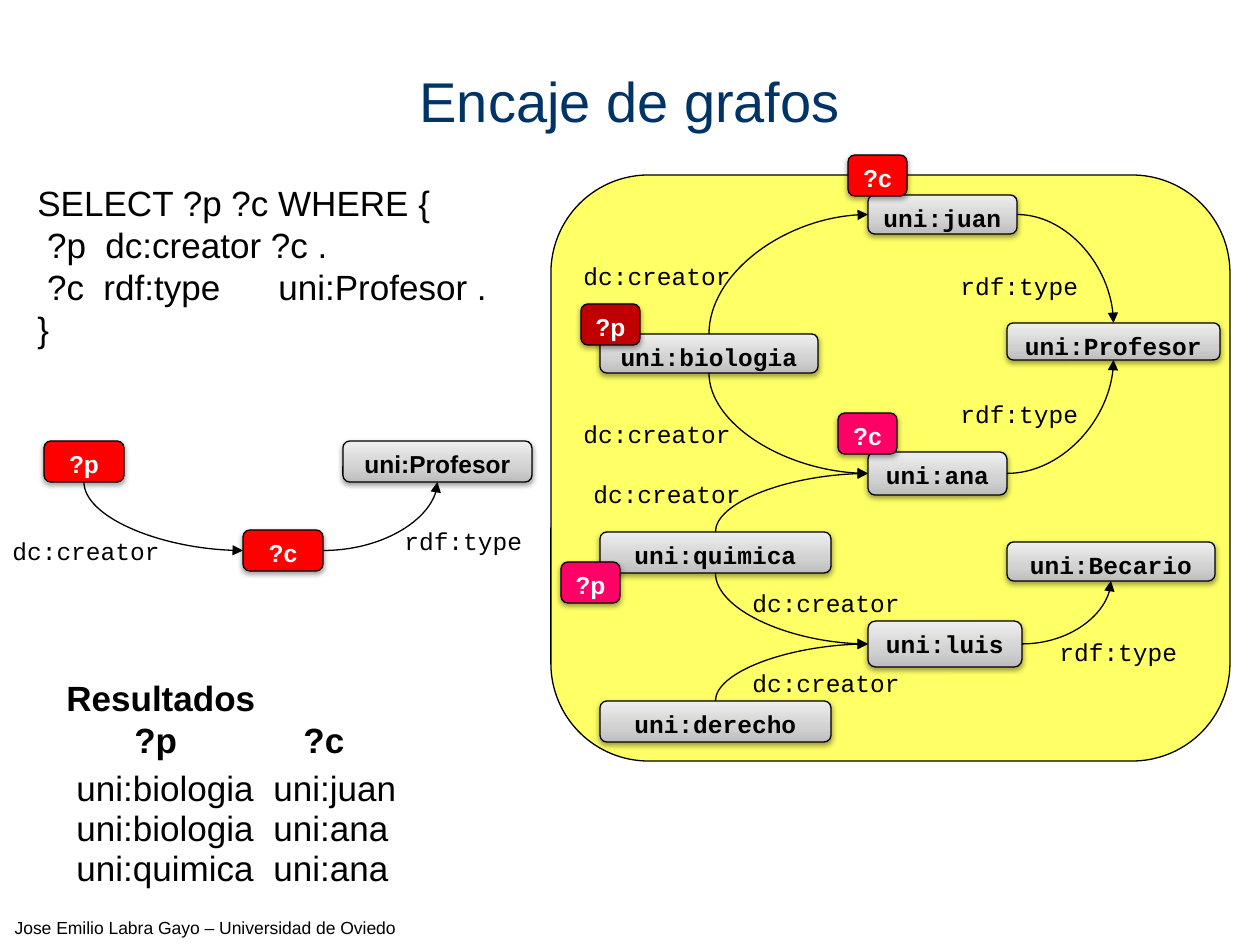
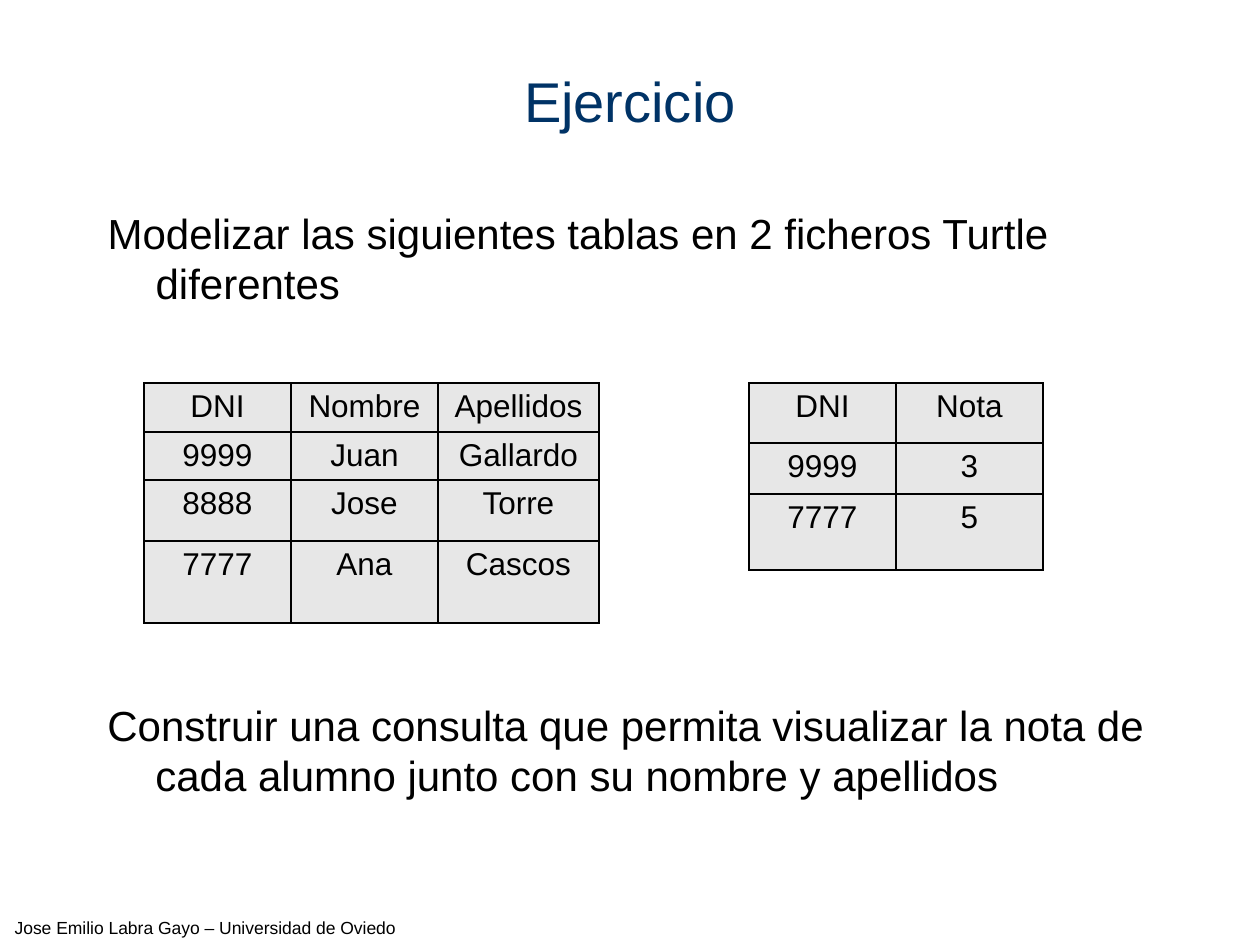
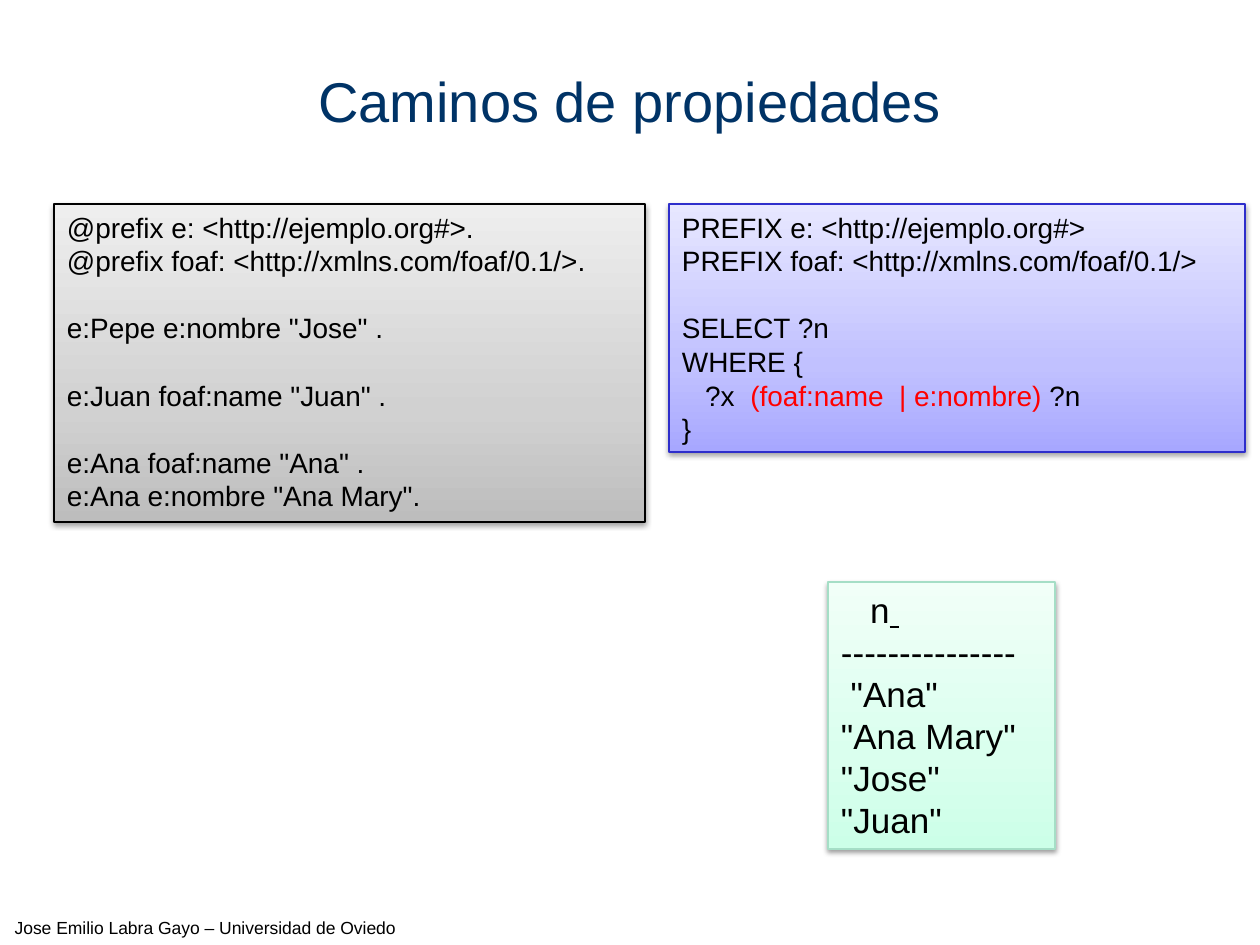
import copy

import lxml.etree
import pptx
import pptx.dml.color
import pptx.enum.shapes
import pptx.enum.text
import pptx.oxml.ns
import pptx.util

RGBColor = pptx.dml.color.RGBColor
ShapeType = pptx.enum.shapes.MSO_SHAPE
Align = pptx.enum.text.PP_ALIGN
qn = pptx.oxml.ns.qn

EMU_PER_PX = 914400 / 126
SLIDE_WIDTH, SLIDE_HEIGHT = 1260, 945
SANS, MONO = "Arial", "Courier New"
TITLE_ONLY, TITLE_AND_BODY = 5, 1
TOP, LEFT, BOTTOM, RIGHT = range(4)

BLACK = RGBColor(0x00, 0x00, 0x00)
WHITE = RGBColor(0xFF, 0xFF, 0xFF)
NAVY = RGBColor(0x00, 0x33, 0x66)
RED = RGBColor(0xFF, 0x00, 0x00)
DARK_RED = RGBColor(0xC0, 0x00, 0x00)
PINK = RGBColor(0xFF, 0x00, 0x66)
YELLOW = RGBColor(0xFF, 0xFF, 0x66)
CELL_GRAY = RGBColor(0xE7, 0xE7, 0xE7)
BLUE_LINE = RGBColor(0x2E, 0x2E, 0xCB)
GREEN_LINE = RGBColor(0xA5, 0xDE, 0xC6)
GRAY_FADE = (RGBColor(0xBD, 0xBD, 0xBD), RGBColor(0xD1, 0xD1, 0xD1), RGBColor(0xEE, 0xEE, 0xEE))
BLUE_FADE = (RGBColor(0xA7, 0xA7, 0xFF), RGBColor(0xC1, 0xC1, 0xFF), RGBColor(0xE7, 0xE7, 0xFF))
GREEN_FADE = (RGBColor(0xCC, 0xFF, 0xE8), RGBColor(0xDA, 0xFF, 0xEE), RGBColor(0xF1, 0xFF, 0xF8))
FADE_POSITIONS = (0, 0.35, 1)


def px(length):
    """Turn px into EMU."""
    return pptx.util.Emu(round(length * EMU_PER_PX))


def box_px(*lengths):
    """Turn a box given in px into EMU."""
    return [px(length) for length in lengths]


def add_element(parent, tag, **attributes):
    """Append an XML element with the given attributes."""
    return lxml.etree.SubElement(parent, qn(tag), attributes)


def write_text(frame, lines, size=20, color=BLACK, font=SANS, bold=False, align=Align.LEFT,
               leading=1.2, tabs=(), hanging=0):
    """Fill a text frame; a line is text or (text, colour, underline) runs, an empty one a gap."""
    gap = 0
    paragraph = None
    for line in lines:
        if not line:
            gap += size * leading
            continue
        paragraph = frame.add_paragraph() if paragraph is not None else frame.paragraphs[0]
        paragraph.alignment = align
        paragraph.space_before = pptx.util.Pt(gap)
        gap = 0
        if leading:
            paragraph.line_spacing = pptx.util.Pt(size * leading)
        properties = paragraph._p.get_or_add_pPr()
        if hanging:
            properties.set("marL", str(px(hanging)))
            properties.set("indent", str(-px(hanging)))
            add_element(properties, "a:buNone")
        if tabs:
            tab_list = add_element(properties, "a:tabLst")
            for tab in tabs:
                add_element(tab_list, "a:tab", pos=str(px(tab)), algn="l")
        for text, run_color, underline in [(line, color, False)] if isinstance(line, str) else line:
            run = paragraph.add_run()
            run.text = text
            run.font.name = font
            run.font.size = pptx.util.Pt(size)
            run.font.bold = bold
            run.font.underline = underline
            run.font.color.rgb = run_color


def add_text(slide, box, lines, wrap=True, **text_format):
    """Add a text box."""
    shape = slide.shapes.add_textbox(*box_px(*box))
    shape.text_frame.word_wrap = wrap
    write_text(shape.text_frame, lines, **text_format)
    return shape


def paint(shape, fill, line=BLACK, shadow=True):
    """Give a shape its solid or graded fill, its line and its shadow."""
    if isinstance(fill, RGBColor):
        shape.fill.solid()
        shape.fill.fore_color.rgb = fill
    else:
        shape.fill.gradient()
        shape.fill.gradient_angle = 90
        stop_list = shape.element.xpath(".//a:gsLst")[0]
        stop_list.append(copy.deepcopy(stop_list[0]))
        for stop, position, color in zip(shape.fill.gradient_stops, FADE_POSITIONS, fill):
            stop.position = position
            stop.color.rgb = color
    shape.line.color.rgb = line
    shape.line.width = pptx.util.Pt(0.75)
    shape.shadow.inherit = False
    if shadow:
        effects = shape.element.xpath(".//a:effectLst")[0]
        outer = add_element(effects, "a:outerShdw", blurRad="40000", dist="20000",
                            dir="5400000", rotWithShape="0")
        add_element(add_element(outer, "a:srgbClr", val="000000"), "a:alpha", val="38000")


def add_panel(slide, box, lines, fill, line=BLACK, kind=ShapeType.RECTANGLE, side_margin=13,
              **text_format):
    """Add a shadowed shape with text at its top."""
    shape = slide.shapes.add_shape(kind, *box_px(*box))
    paint(shape, fill, line)
    frame = shape.text_frame
    frame.word_wrap = True
    frame.vertical_anchor = pptx.enum.text.MSO_ANCHOR.TOP
    frame.margin_left = frame.margin_right = px(side_margin)
    write_text(frame, lines, **text_format)
    return shape


def add_node(slide, box, name, fill=GRAY_FADE, color=BLACK, font=MONO):
    """Add a rounded graph node."""
    return add_panel(slide, box, [name], fill, kind=ShapeType.FLOWCHART_ALTERNATE_PROCESS,
                     side_margin=4, size=14, bold=True, color=color, font=font,
                     align=Align.CENTER)


def add_variable(slide, box, name, fill):
    """Add a coloured node for a query variable."""
    return add_node(slide, box, name, fill, WHITE, SANS)


def add_label(slide, left, top, name):
    """Add the label of an edge."""
    add_text(slide, (left, top, 184, 39), [name], size=14, font=MONO)


def add_edge(slide, level_node, level_side, upright_node, upright_side, arrow):
    """Curve from a level end to an upright end, with the arrow at headEnd or tailEnd."""
    connector = slide.shapes.add_connector(pptx.enum.shapes.MSO_CONNECTOR.CURVE, 0, 0, 0, 0)
    connector.begin_connect(level_node, level_side)
    connector.end_connect(upright_node, upright_side)
    connector.element.xpath(".//a:prstGeom")[0].set("prst", "curvedConnector2")
    connector.line.color.rgb = BLACK
    connector.line.width = pptx.util.Pt(0.75)
    add_element(connector.element.xpath(".//a:ln")[0], f"a:{arrow}", type="triangle")
    add_element(connector.element.spPr, "a:effectLst")


def add_creator_edge(slide, subject, side, creator):
    """Join a subject to its creator."""
    add_edge(slide, creator, LEFT, subject, side, "headEnd")


def add_type_edge(slide, person, kind, side):
    """Join a person to a type."""
    add_edge(slide, person, RIGHT, kind, side, "tailEnd")


def data_graph(slide, left, top, width, height):
    """Draw the yellow graph with the matched variables."""
    background = slide.shapes.add_shape(ShapeType.ROUNDED_RECTANGLE,
                                        *box_px(left, top, width, height))
    paint(background, YELLOW, shadow=False)
    places = {
        "quimica": (49, 357, 231, 41), "ana": (317, 277, 139, 43),
        "luis": (317, 446, 154, 46), "Becario": (456, 367, 208, 39),
        "biologia": (49, 159, 218, 39), "juan": (317, 20, 149, 39),
        "Profesor": (456, 148, 213, 37), "derecho": (49, 526, 231, 41),
    }
    nodes = {name: add_node(slide, (left + x, top + y, w, h), f"uni:{name}")
             for name, (x, y, w, h) in places.items()}
    for subject, side, creator in (("quimica", TOP, "ana"), ("quimica", BOTTOM, "luis"),
                                   ("biologia", TOP, "juan"), ("biologia", BOTTOM, "ana"),
                                   ("derecho", TOP, "luis")):
        add_creator_edge(slide, nodes[subject], side, nodes[creator])
    for person, kind, side in (("luis", "Becario", BOTTOM), ("juan", "Profesor", TOP),
                               ("ana", "Profesor", BOTTOM)):
        add_type_edge(slide, nodes[person], nodes[kind], side)
    for x, y in ((30, 298), (189, 407), (20, 80), (20, 238), (189, 487)):
        add_label(slide, left + x, top + y, "dc:creator")
    for x, y in ((496, 456), (397, 90), (397, 218)):
        add_label(slide, left + x, top + y, "rdf:type")
    for x, y, name, color in ((297, -20, "?c", RED), (30, 129, "?p", DARK_RED),
                              (10, 387, "?p", PINK), (287, 238, "?c", PINK)):
        add_variable(slide, (left + x, top + y, 59, 41), name, color)


def query_graph(slide, left, top):
    """Draw the pattern of the query."""
    subject = add_variable(slide, (left + 44, top, 80, 41), "?p", RED)
    person = add_variable(slide, (left + 243, top + 89, 80, 41), "?c", RED)
    kind = add_node(slide, (left + 343, top, 189, 41), "uni:Profesor", font=SANS)
    add_creator_edge(slide, subject, BOTTOM, person)
    add_type_edge(slide, person, kind, BOTTOM)
    add_label(slide, left, top + 89, "dc:creator")
    add_label(slide, left + 392, top + 79, "rdf:type")


def results(slide, left, top):
    """List the matches of the query in two columns."""
    add_text(slide, (left, top, 305, 97), ["Resultados", "\t?p\t?c"], bold=True, tabs=(68, 237))
    rows = (("biologia", "juan"), ("biologia", "ana"), ("quimica", "ana"))
    for index, (subject, person) in enumerate(rows):
        add_text(slide, (left + 10, top + 90 + 40 * index, 348, 55),
                 [f"uni:{subject}\tuni:{person}"], tabs=(197,))


def add_grid(slide, left, top, column_widths, row_heights, rows):
    """Add a gray table with black borders."""
    frame = slide.shapes.add_table(len(rows), len(column_widths),
                                   *box_px(left, top, sum(column_widths), sum(row_heights)))
    table = frame.table
    for column, width in zip(table.columns, column_widths):
        column.width = px(width)
    for row, height, values in zip(table.rows, row_heights, rows):
        row.height = px(height)
        for cell, value in zip(row.cells, values):
            write_text(cell.text_frame, [value], size=18, align=Align.CENTER, leading=None)
            cell.fill.solid()
            cell.fill.fore_color.rgb = CELL_GRAY
            properties = cell._tc.get_or_add_tcPr()
            for index, side in enumerate("LRTB"):
                border = add_element(properties, f"a:ln{side}", w="12700")
                add_element(add_element(border, "a:solidFill"), "a:srgbClr", val=str(BLACK))
                properties.insert(index, border)


def add_titled_slide(presentation, layout, title):
    """Add a slide with its title."""
    slide = presentation.slides.add_slide(presentation.slide_layouts[layout])
    shape = slide.shapes.title
    shape.left, shape.top, shape.width, shape.height = box_px(0, 21, SLIDE_WIDTH, 158)
    shape.text_frame.vertical_anchor = pptx.enum.text.MSO_ANCHOR.MIDDLE
    write_text(shape.text_frame, [title], size=32, color=NAVY, align=Align.CENTER)
    return slide


def matching_slide(presentation):
    """Build the slide on graph matching."""
    slide = add_titled_slide(presentation, TITLE_ONLY, "Encaje de grafos")
    query = ["SELECT ?p ?c WHERE {", " ?p  dc:creator ?c .", " ?c  rdf:type\tuni:Profesor .", "}"]
    add_text(slide, (25, 175, 507, 183), query, tabs=(241,))
    data_graph(slide, 551, 175, 679, 586)
    query_graph(slide, 0, 441)
    results(slide, 54, 670)
    return slide


def exercise_slide(presentation):
    """Build the exercise slide with its two tables."""
    slide = add_titled_slide(presentation, TITLE_AND_BODY, "Ejercicio")
    body = slide.placeholders[1]
    body.left, body.top, body.width, body.height = box_px(95, 201, 1071, 115)
    body.text_frame.auto_size = pptx.enum.text.MSO_AUTO_SIZE.NONE
    write_text(body.text_frame,
               ["Modelizar las siguientes tablas en 2 ficheros Turtle diferentes"],
               size=24, hanging=48)
    add_grid(slide, 144, 383, (147, 147, 161), (49, 48, 61, 82),
             (("DNI", "Nombre", "Apellidos"), ("9999", "Juan", "Gallardo"),
              ("8888", "Jose", "Torre"), ("7777", "Ana", "Cascos")))
    add_grid(slide, 749, 383, (147, 147), (60, 51, 76),
             (("DNI", "Nota"), ("9999", "3"), ("7777", "5")))
    add_text(slide, (95, 693, 1071, 115),
             ["Construir una consulta que permita visualizar la nota de cada alumno "
              "junto con su nombre y apellidos"], size=24, hanging=48)


def paths_slide(presentation):
    """Build the slide on property paths."""
    slide = add_titled_slide(presentation, TITLE_ONLY, "Caminos de propiedades")
    data = ["@prefix e: <http://ejemplo.org#>.", "@prefix foaf: <http://xmlns.com/foaf/0.1/>.",
            "", 'e:Pepe e:nombre "Jose" .', "", 'e:Juan foaf:name "Juan" .', "",
            'e:Ana foaf:name "Ana" .', 'e:Ana e:nombre "Ana Mary".']
    query = ["PREFIX e: <http://ejemplo.org#>", "PREFIX foaf: <http://xmlns.com/foaf/0.1/>",
             "", "SELECT ?n", "WHERE {",
             [("   ?x  ", BLACK, False), ("(foaf:name  | e:nombre)", RED, False),
              (" ?n", BLACK, False)], "}"]
    output = [[("   n", BLACK, False), (" ", BLACK, True)], "---------------",
              ' "Ana"', '"Ana Mary"', '"Jose"', '"Juan"']
    add_panel(slide, (54, 204, 591, 318), data, GRAY_FADE, size=16)
    add_panel(slide, (828, 582, 227, 267), output, GREEN_FADE, GREEN_LINE)
    add_panel(slide, (669, 204, 576, 248), query, BLUE_FADE, BLUE_LINE, size=16)


def add_master_footer(presentation, slide):
    """Put the author line on the master, by way of a slide."""
    footer = add_text(slide, (0, 911, 410, 34), ["Jose Emilio Labra Gayo – Universidad de Oviedo"],
                      wrap=False, size=10, align=Align.CENTER)
    presentation.slide_master.shapes.element.append(footer.element)


def main():
    """Build and save the presentation."""
    presentation = pptx.Presentation()
    presentation.slide_width, presentation.slide_height = box_px(SLIDE_WIDTH, SLIDE_HEIGHT)
    first_slide = matching_slide(presentation)
    exercise_slide(presentation)
    paths_slide(presentation)
    add_master_footer(presentation, first_slide)
    presentation.save("out.pptx")


if __name__ == "__main__":
    main()
